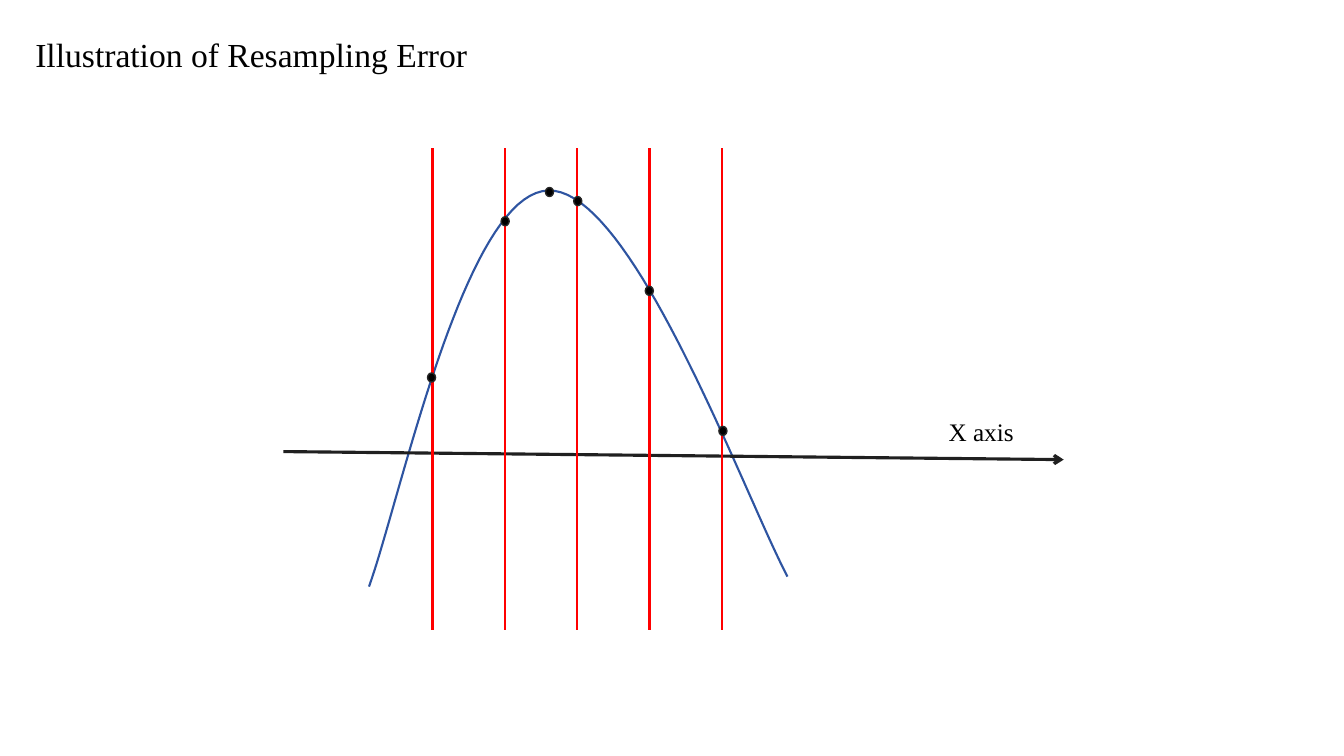
"""Build a slide that illustrates resampling error on a sampled curve."""
import lxml.etree
import pptx
import pptx.dml.color
import pptx.enum.shapes
import pptx.enum.text
import pptx.oxml.ns
import pptx.util

Inches = pptx.util.Inches
Pt = pptx.util.Pt
qn = pptx.oxml.ns.qn


def color(value):
    return pptx.dml.color.RGBColor.from_string(value)


def write(box, text, size):
    frame = box.text_frame
    frame.word_wrap = True
    frame.auto_size = pptx.enum.text.MSO_AUTO_SIZE.NONE
    frame.vertical_anchor = pptx.enum.text.MSO_ANCHOR.TOP
    para = frame.paragraphs[0]
    para.alignment = pptx.enum.text.PP_ALIGN.LEFT
    span = para.add_run()
    span.text = text
    span.font.name = "Times New Roman"
    span.font.size = Pt(size)
    span.font.color.rgb = color("000000")


deck = pptx.Presentation()
deck.slide_width = Inches(13.33)
deck.slide_height = Inches(7.5)
page = deck.slides.add_slide(deck.slide_layouts[5])
shapes = page.shapes

title = shapes.title
title.left, title.top = Inches(0.25), Inches(0.29)
title.width, title.height = Inches(6.57), Inches(0.5)
write(title, "Illustration of Resampling Error", 24)

curve_parts = [
    [(3.66, 5.82), (3.97, 4.96), (4.61, 1.91), (5.44, 1.89)],
    [(5.44, 1.89), (6.27, 1.87), (7.37, 4.88), (7.81, 5.72)],
]
steps = 40
curve_points = []
for start, pull_out, pull_in, end in curve_parts:
    for step in range(1, steps + 1):
        t = step / steps
        u = 1 - t
        curve_points.append([
            Inches(u**3 * a + 3 * u**2 * t * b + 3 * u * t**2 * c + t**3 * d)
            for a, b, c, d in zip(start, pull_out, pull_in, end)
        ])
builder = shapes.build_freeform(Inches(3.66), Inches(5.82))
builder.add_line_segments(curve_points, close=False)
curve = builder.convert_to_shape()
curve.shadow.inherit = False
curve.fill.background()
curve.line.color.rgb = color("2E54A1")
curve.line.width = Pt(1.5)

label = shapes.add_textbox(Inches(9.31), Inches(4.08), Inches(3.5), Inches(0.4))
write(label, "X axis", 18)

lines = [(2.81, 4.48, 10.55, 4.56, "202020", 2.25)]
for index in range(5):
    sample_x = 4.29 + index * 0.7175
    lines.append((sample_x, 1.47, sample_x, 6.25, "FF0000", 1.75))
for x1, y1, x2, y2, stroke, weight in lines:
    line = shapes.add_connector(
        pptx.enum.shapes.MSO_CONNECTOR.STRAIGHT,
        Inches(x1), Inches(y1), Inches(x2), Inches(y2),
    )
    line.line.color.rgb = color(stroke)
    line.line.width = Pt(weight)
    properties = line.element.find(qn("p:spPr"))
    lxml.etree.SubElement(properties, qn("a:effectLst"))
    if y1 != 1.47:
        outline = properties.find(qn("a:ln"))
        lxml.etree.SubElement(outline, qn("a:tailEnd"), type="arrow")

dots = [(4.24, 3.7), (4.97, 2.15), (5.41, 1.86), (5.69, 1.95), (6.4, 2.84), (7.13, 4.23)]
for left, top in dots:
    dot = shapes.add_shape(
        pptx.enum.shapes.MSO_SHAPE.OVAL,
        Inches(left), Inches(top), Inches(0.08), Inches(0.09),
    )
    dot.shadow.inherit = False
    dot.fill.solid()
    dot.fill.fore_color.rgb = color("000000")
    dot.line.color.rgb = color("262626")
    dot.line.width = Pt(1)

deck.save("out.pptx")
